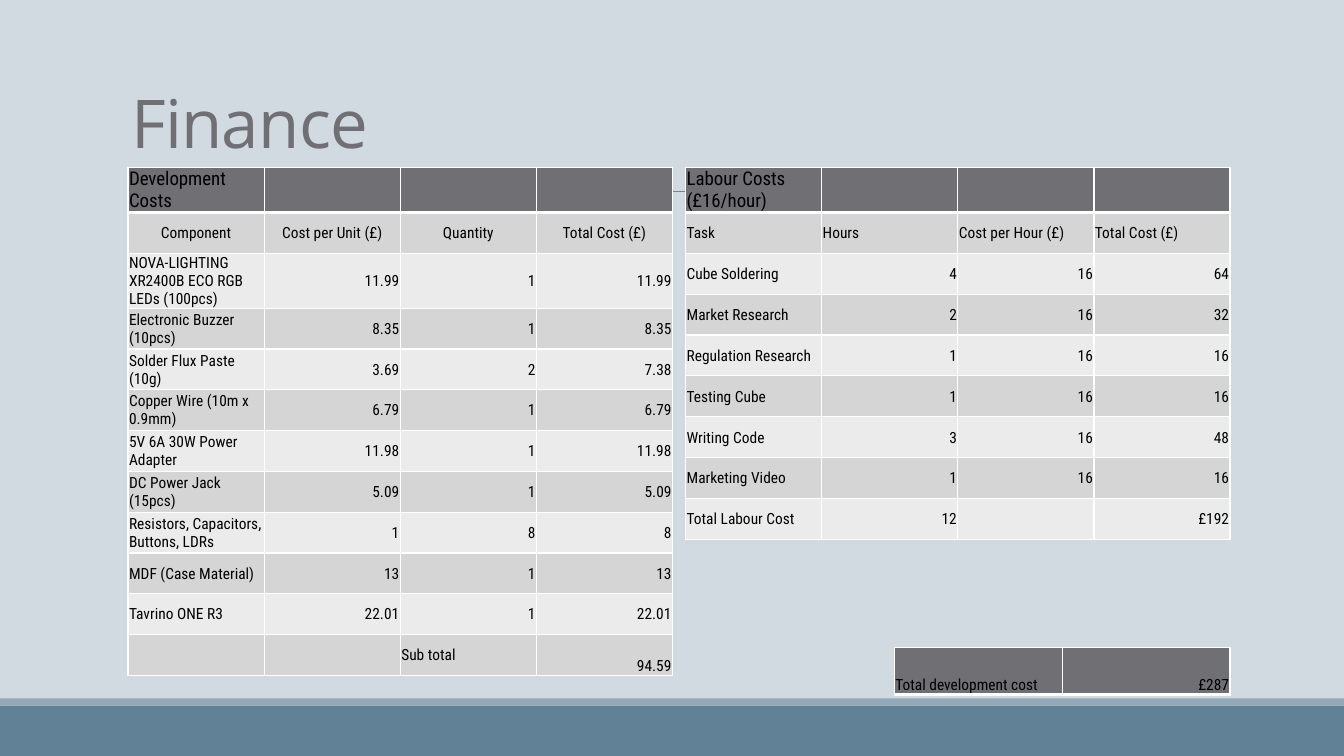
import pptx
import pptx.util
import pptx.oxml
import pptx.dml.color
import pptx.enum.text
import pptx.enum.shapes
import lxml.etree

Inches = pptx.util.Inches
Pt = pptx.util.Pt
RGBColor = pptx.dml.color.RGBColor
Align = pptx.enum.text.PP_ALIGN
Anchor = pptx.enum.text.MSO_ANCHOR
A = "{http://schemas.openxmlformats.org/drawingml/2006/main}"

BACK = RGBColor(0xD1, 0xD9, 0xE1)
BLUE = RGBColor(0x61, 0x81, 0x97)
STRIPE = RGBColor(0x92, 0xA9, 0xB9)
RULE = RGBColor(0x80, 0x80, 0x80)
DARK = RGBColor(0x6F, 0x6F, 0x74)
MID = RGBColor(0xD5, 0xD5, 0xD6)
LIGHT = RGBColor(0xEB, 0xEB, 0xEB)
WHITE = RGBColor(0xFF, 0xFF, 0xFF)
BLACK = RGBColor(0, 0, 0)

PARTS = [
    ("Development Costs", "", "", ""),
    ("Component", "Cost per Unit (£)", "Quantity", "Total Cost (£)"),
    ("NOVA-LIGHTING XR2400B ECO RGB LEDs (100pcs)", "11.99", "1", "11.99"),
    ("Electronic Buzzer (10pcs)", "8.35", "1", "8.35"),
    ("Solder Flux Paste (10g)", "3.69", "2", "7.38"),
    ("Copper Wire (10m x 0.9mm)", "6.79", "1", "6.79"),
    ("5V 6A 30W Power Adapter", "11.98", "1", "11.98"),
    ("DC Power Jack (15pcs)", "5.09", "1", "5.09"),
    ("Resistors, Capacitors, Buttons, LDRs", "1", "8", "8"),
    ("MDF (Case Material)", "13", "1", "13"),
    ("Tavrino ONE R3", "22.01", "1", "22.01"),
    ("", "", "Sub total", "94.59"),
]
LABOUR = [
    ("Labour Costs (£16/hour)", "", "", ""),
    ("Task", "Hours", "Cost per Hour (£)", "Total Cost (£)"),
    ("Cube Soldering", "4", "16", "64"),
    ("Market Research", "2", "16", "32"),
    ("Regulation Research", "1", "16", "16"),
    ("Testing Cube", "1", "16", "16"),
    ("Writing Code", "3", "16", "48"),
    ("Marketing Video", "1", "16", "16"),
    ("Total Labour Cost", "12", "", "£192"),
]
TOTAL = [("Total development cost", "£287")]


def add_band(slide, top, height, color):
    band = slide.shapes.add_shape(
        pptx.enum.shapes.MSO_SHAPE.RECTANGLE, 0, Inches(top), Inches(13.33), Inches(height))
    band.shadow.inherit = False
    band.fill.solid()
    band.fill.fore_color.rgb = color
    band.line.fill.background()


def add_rule(slide):
    rule = slide.shapes.add_connector(
        pptx.enum.shapes.MSO_CONNECTOR.STRAIGHT,
        Inches(1.31), Inches(1.9), Inches(12.21), Inches(1.9))
    rule.line.color.rgb = RULE
    rule.line.width = Pt(0.5)
    lxml.etree.SubElement(rule._element.spPr, A + "effectLst")


def set_title(slide, text):
    title = slide.shapes.title
    title.left, title.top = Inches(1.2), Inches(0.07)
    title.width, title.height = Inches(11), Inches(1.59)
    frame = title.text_frame
    frame.text = text
    frame.vertical_anchor = Anchor.BOTTOM
    para = frame.paragraphs[0]
    para.alignment = Align.LEFT
    para.line_spacing = 0.85
    para.font.size = Pt(48)
    para.font.name = "Open Sans"
    para.font.color.rgb = DARK
    para.runs[0].font._element.set("spc", "-50")
    slide.shapes._spTree.append(title._element)


def set_edges(cell, top, bottom):
    props = cell._tc.get_or_add_tcPr()
    widths = {"lnL": 1, "lnR": 1, "lnT": top, "lnB": bottom}
    for place, (tag, width) in enumerate(widths.items()):
        line = lxml.etree.Element(A + tag, w=str(Pt(width)))
        fill = lxml.etree.SubElement(line, A + "solidFill")
        lxml.etree.SubElement(fill, A + "srgbClr", val=str(WHITE))
        props.insert(place, line)


def set_cell(cell, text, size, align, color):
    cell.text = text
    cell.fill.solid()
    cell.fill.fore_color.rgb = color
    cell.vertical_anchor = Anchor.MIDDLE
    cell.margin_left = cell.margin_right = cell.margin_top = Inches(0.01)
    cell.margin_bottom = 0
    para = cell.text_frame.paragraphs[0]
    para.alignment = align
    para.font.size = Pt(size)
    para.font.name = "Roboto Condensed"
    para.font.color.rgb = BLACK


def add_grid(slide, data, box, head_size=13.5, label_align=Align.LEFT):
    grid = slide.shapes.add_table(len(data), len(data[0]), *map(Inches, box)).table
    grid.first_row = grid.horz_banding = False
    for r, row in enumerate(data):
        color = DARK if r == 0 else (LIGHT, MID)[r % 2]
        for c, text in enumerate(row):
            align = label_align if r == 1 else Align.LEFT
            if text.lstrip("£").replace(".", "").isdigit():
                align = Align.RIGHT
            cell = grid.cell(r, c)
            set_cell(cell, text, 11 if r else head_size, align, color)
            set_edges(cell, 3 if r == 1 else 1, 1 if r else 3)
    return grid


def main():
    """Build the finance slide with its three cost tables."""
    deck = pptx.Presentation()
    deck.slide_width, deck.slide_height = Inches(13.33), Inches(7.5)
    slide = deck.slides.add_slide(deck.slide_layouts[5])
    slide.background.fill.solid()
    slide.background.fill.fore_color.rgb = BACK
    add_band(slide, 7, 0.5, BLUE)
    add_band(slide, 6.93, 0.07, STRIPE)
    add_rule(slide)
    set_title(slide, "Finance")
    parts = add_grid(slide, PARTS, (1.27, 1.66, 5.4, 4.86), label_align=Align.CENTER)
    parts.cell(11, 3).vertical_anchor = Anchor.BOTTOM
    add_grid(slide, LABOUR, (6.8, 1.66, 5.4, 3.65))
    total = add_grid(slide, TOTAL, (8.87, 6.42, 3.33, 0.47), head_size=11)
    for cell in total.iter_cells():
        cell.vertical_anchor = Anchor.BOTTOM
    deck.save("out.pptx")


if __name__ == "__main__":
    main()
